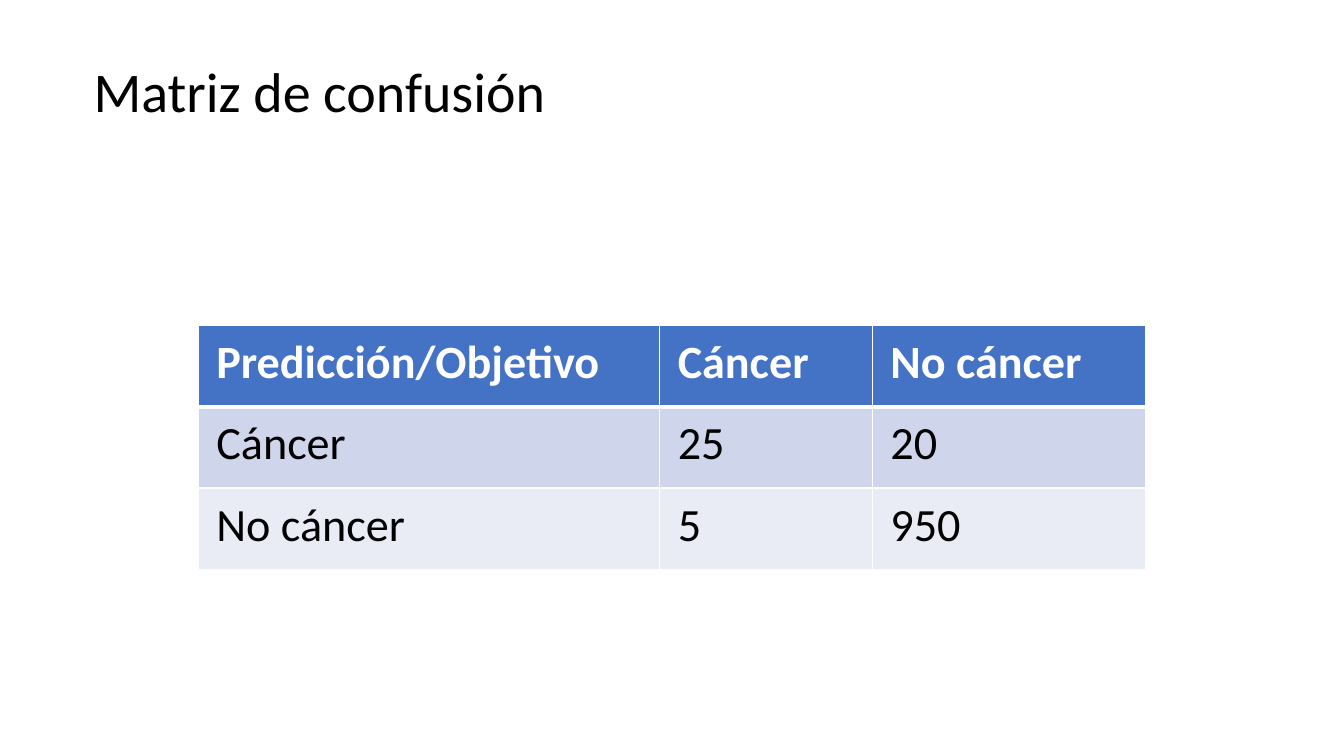
from lxml import etree
from pptx import Presentation
from pptx.dml.color import RGBColor
from pptx.enum import shapes, text
from pptx.oxml import ns
from pptx.util import Cm, Pt

TITLE = "Matriz de confusión"
MATRIX = [
    ("Predicción/Objetivo", "Cáncer", "No cáncer"),
    ("Cáncer", "25", "20"),
    ("No cáncer", "5", "950"),
]
COLUMN_WIDTHS = [Cm(11.63), Cm(5.36), Cm(6.9)]
ROW_HEIGHT = Cm(2.05)
THEME = {
    "font": "Calibri",
    "title_size": Pt(40),
    "cell_size": Pt(33),
    "ink": "000000",
    "header_ink": "FFFFFF",
    "band": "FFFFFF",
    "border": "FFFFFF",
    "row_fills": ["4472C4", "CFD5EA", "E9EBF5"],
}


def style_text(frame, size, color, bold=False):
    for para in frame.paragraphs:
        for span in para.runs:
            span.font.name = THEME["font"]
            span.font.size = size
            span.font.bold = bold
            span.font.color.rgb = RGBColor.from_string(color)


def add_title_band(page, width):
    band = page.shapes.add_shape(
        shapes.MSO_SHAPE.RECTANGLE, Cm(0), Cm(0), width, Cm(4.72)
    )
    band.shadow.inherit = False
    band.fill.solid()
    band.fill.fore_color.rgb = RGBColor.from_string(THEME["band"])
    band.line.fill.background()


def add_title(page):
    box = page.shapes.add_textbox(Cm(2.11), Cm(0.76), Cm(29.11), Cm(3.23))
    frame = box.text_frame
    frame.word_wrap = True
    frame.vertical_anchor = text.MSO_ANCHOR.MIDDLE
    frame.text = TITLE
    frame.paragraphs[0].line_spacing = 0.9
    style_text(frame, THEME["title_size"], THEME["ink"])


def set_borders(cell, widths):
    """Draw the cell's sides; widths maps L, R, T and B to lengths."""
    properties = cell._tc.get_or_add_tcPr()
    for side, width in widths.items():
        line = etree.SubElement(properties, ns.qn(f"a:ln{side}"), w=str(width))
        fill = etree.SubElement(line, ns.qn("a:solidFill"))
        etree.SubElement(fill, ns.qn("a:srgbClr"), val=THEME["border"])


def add_matrix(page):
    table = page.shapes.add_table(
        len(MATRIX), len(COLUMN_WIDTHS), Cm(4.99), Cm(8.2),
        sum(COLUMN_WIDTHS), ROW_HEIGHT * len(MATRIX),
    ).table
    for column, width in zip(table.columns, COLUMN_WIDTHS):
        column.width = width
    for row_index, (values, fill) in enumerate(zip(MATRIX, THEME["row_fills"])):
        table.rows[row_index].height = ROW_HEIGHT
        header = row_index == 0
        widths = {
            "L": Pt(1),
            "R": Pt(1),
            "T": Pt(3) if row_index == 1 else Pt(1),
            "B": Pt(3) if header else Pt(1),
        }
        for column_index, value in enumerate(values):
            cell = table.cell(row_index, column_index)
            cell.text = value
            cell.margin_left = cell.margin_right = Cm(0.46)
            cell.margin_top = cell.margin_bottom = Cm(0.23)
            set_borders(cell, widths)
            cell.fill.solid()
            cell.fill.fore_color.rgb = RGBColor.from_string(fill)
            ink = THEME["header_ink"] if header else THEME["ink"]
            style_text(cell.text_frame, THEME["cell_size"], ink, header)


def main():
    deck = Presentation()
    deck.slide_width, deck.slide_height = Cm(33.87), Cm(19.05)
    page = deck.slides.add_slide(deck.slide_layouts[6])
    add_title_band(page, deck.slide_width)
    add_title(page)
    add_matrix(page)
    deck.save("out.pptx")


if __name__ == "__main__":
    main()
